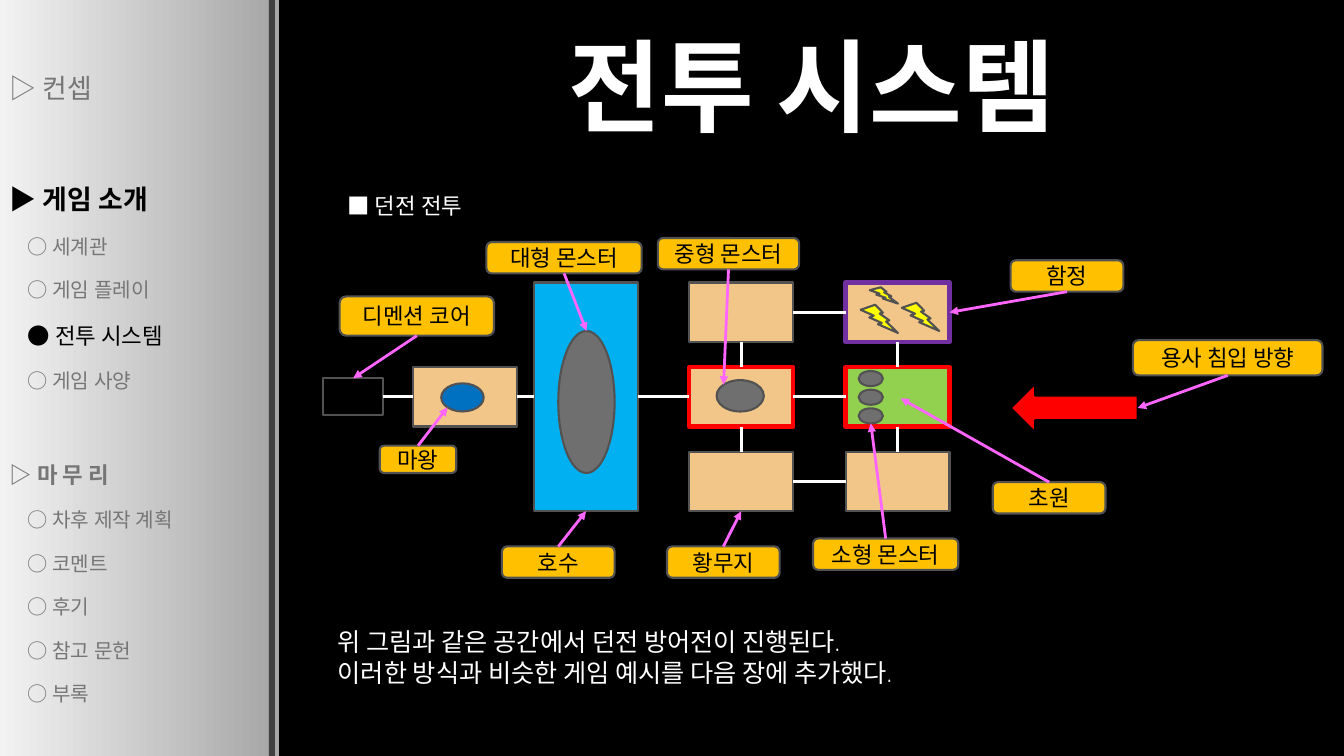
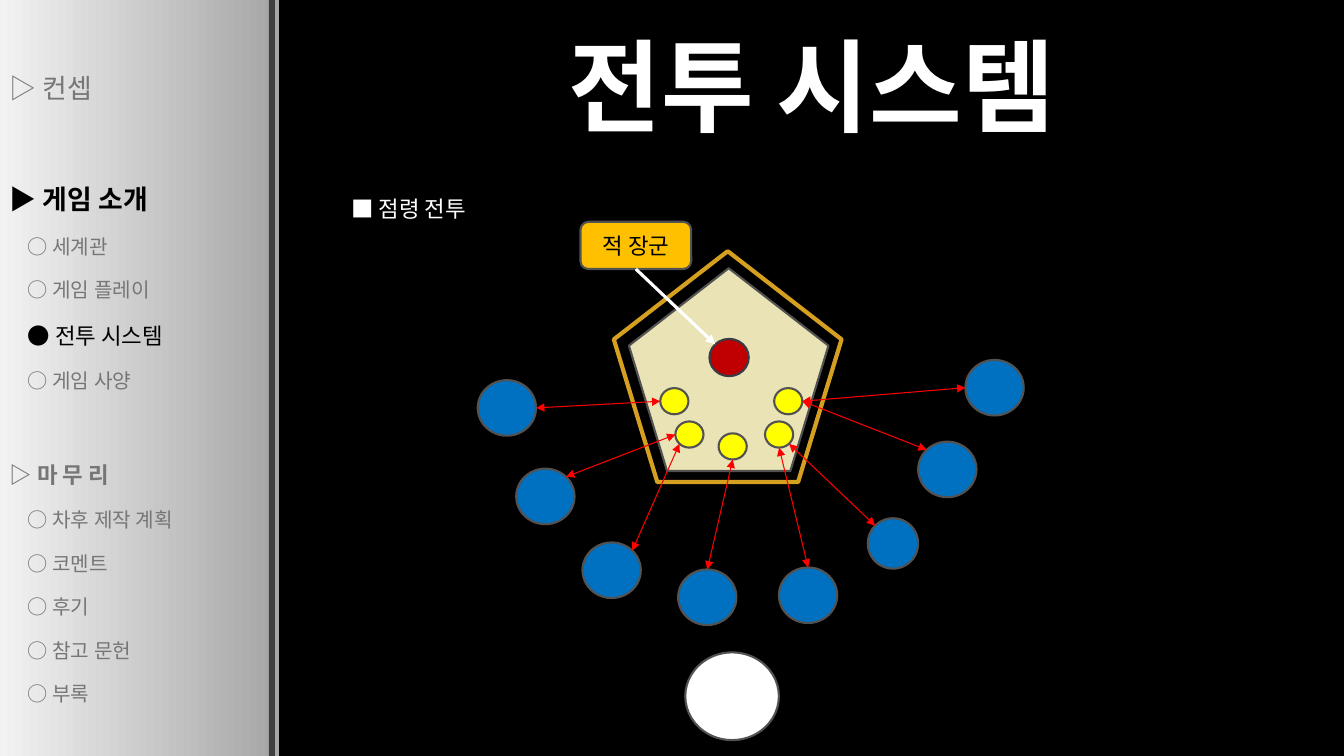
from math import cos, radians, sin

from lxml.etree import SubElement
from pptx import Presentation
from pptx.dml.color import RGBColor
from pptx.enum.shapes import MSO_CONNECTOR, MSO_SHAPE
from pptx.enum.text import MSO_ANCHOR, PP_ALIGN
from pptx.oxml.ns import qn
from pptx.util import Cm, Pt

COLORS = {
    "black": "000000", "white": "FFFFFF", "muted": "767676", "outline": "525252",
    "divider": "404040", "bar_dark": "A6A6A6", "bar_light": "F2F2F2",
    "callout": "FFC000", "wasteland": "F2C688", "lake": "00B0F0", "meadow": "92D050",
    "trap": "7030A0", "red": "FF0000", "blue": "0070C0", "monster": "6F6F6F",
    "yellow": "FFFF00", "pointer": "FF66FF", "fort": "EAE3B5", "wall": "D59F20",
    "general": "C00000", "general_line": "363D46",
}
BODY_FONT, TITLE_FONT = "Quicksand", "Roboto"
SLIDE_WIDTH, SLIDE_HEIGHT = 33.87, 19.05
BAR_WIDTH = 7.04
TOP, LEFT, BOTTOM, RIGHT = range(4)

# text, size, space before, indent, colour, bold
MENU = [
    ("▷ 컨셉", 24, 0, 0, "muted", False),
    ("▶ 게임 소개", 24, 44.5, 0, "black", True),
    ("○ 세계관", 18, 3.5, 0.45, "muted", False),
    ("○ 게임 플레이", 18, 3.5, 0.45, "muted", False),
    ("● 전투 시스템", 20, 3.5, 0.45, "black", False),
    ("○ 게임 사양", 18, 3.5, 0.45, "muted", False),
    ("▷ 마 무 리", 20, 38.5, 0, "muted", True),
    ("○ 차후 제작 계획", 18, 3.5, 0.45, "muted", False),
    ("○ 코멘트", 18, 3.5, 0.45, "muted", False),
    ("○ 후기", 18, 3.5, 0.45, "muted", False),
    ("○ 참고 문헌", 18, 3.5, 0.45, "muted", False),
    ("○ 부록", 18, 3.5, 0.45, "muted", False),
]


def rgb(name):
    """Look up a palette colour."""
    return RGBColor.from_string(COLORS[name])


def write(para, text, size=16, color="black", font=BODY_FONT, bold=False, small=False,
          align=PP_ALIGN.LEFT, before=0, after=0, indent=0, leading=None):
    """Put one formatted run of text into a paragraph."""
    para.alignment = align
    para.space_before, para.space_after = Pt(before), Pt(after)
    if leading:
        para.line_spacing = Pt(round(leading * size, 1))
    if indent:
        para._p.get_or_add_pPr().set("marL", str(Cm(indent)))
    span = para.add_run()
    span.text = text
    span.font.name, span.font.size, span.font.bold = font, Pt(size), bold
    span.font.color.rgb = rgb(color)
    if small:
        span._r.get_or_add_rPr().set("cap", "small")


def add_text(slide, box, lines, anchor=MSO_ANCHOR.TOP):
    """Add a wrapped text box holding (text, format) lines."""
    frame = slide.shapes.add_textbox(*map(Cm, box)).text_frame
    frame.word_wrap = True
    frame.vertical_anchor = anchor
    for index, (text, style) in enumerate(lines):
        para = frame.add_paragraph() if index else frame.paragraphs[0]
        write(para, text, **style)


def add_figure(slide, kind, box, fill=None, line="outline", width=1.5):
    """Add a preset shape with plain fill and outline."""
    shape = slide.shapes.add_shape(kind, *map(Cm, box))
    shape.shadow.inherit = False
    if fill:
        shape.fill.solid()
        shape.fill.fore_color.rgb = rgb(fill)
    else:
        shape.fill.background()
    if line:
        shape.line.color.rgb = rgb(line)
        shape.line.width = Pt(width)
    else:
        shape.line.fill.background()
    return shape


def add_callout(slide, box, text):
    """Add a rounded label."""
    label = add_figure(slide, MSO_SHAPE.ROUNDED_RECTANGLE, box, "callout")
    frame = label.text_frame
    frame.margin_top = frame.margin_bottom = 0
    frame.vertical_anchor = MSO_ANCHOR.MIDDLE
    write(frame.paragraphs[0], text, align=PP_ALIGN.CENTER)
    return label


def rim(shape, degrees):
    """Return the point on an ellipse at a clockwise angle from its right side."""
    angle = radians(degrees)
    return (int(shape.left + shape.width * (1 + cos(angle)) / 2),
            int(shape.top + shape.height * (1 + sin(angle)) / 2))


def add_line(slide, start, end, color="white", width=2, heads=()):
    """Draw a line between ends, each a point or a (shape, side) pair."""
    points = [(0, 0) if hasattr(item[0], "shape_id") else item for item in (start, end)]
    line = slide.shapes.add_connector(MSO_CONNECTOR.STRAIGHT, *points[0], *points[1])
    for item, join in ((start, line.begin_connect), (end, line.end_connect)):
        if hasattr(item[0], "shape_id"):
            join(*item)
    line.line.color.rgb = rgb(color)
    line.line.width = Pt(width)
    outline = line.line._get_or_add_ln()
    for head in heads:
        SubElement(outline, qn(f"a:{head}"), type="triangle")
    SubElement(line._element.spPr, qn("a:effectLst"))


def add_sidebar(slide, box):
    """Draw the navigation bar with its menu."""
    left, top, width, height = box
    bar = add_figure(slide, MSO_SHAPE.RECTANGLE, box, "bar_light", None)
    bar.fill.gradient()
    bar.fill.gradient_angle = 180
    for stop, position, color in zip(bar.fill.gradient_stops, (0, 1), ("bar_dark", "bar_light")):
        stop.position = position
        stop.color.rgb = rgb(color)
    lines = [(text, dict(size=size, before=before, after=6, indent=indent, color=color,
                         bold=bold, small=True, leading=1.2))
             for text, size, before, indent, color, bold in MENU]
    add_text(slide, (left, top + 1.5, width + 0.28, height - 2.5), lines)
    add_figure(slide, MSO_SHAPE.RECTANGLE, (left + width - 0.26, top, 0.15, height),
               "divider", None)


def add_page(deck, heading, heading_box):
    """Add a slide with the shared background, sidebar, title and heading."""
    page = deck.slides.add_slide(deck.slide_layouts[6])
    page.background.fill.solid()
    page.background.fill.fore_color.rgb = rgb("black")
    add_sidebar(page, (0, 0, BAR_WIDTH, SLIDE_HEIGHT))
    title = dict(size=72, color="white", font=TITLE_FONT, bold=True, align=PP_ALIGN.CENTER)
    add_text(page, (BAR_WIDTH, 0, SLIDE_WIDTH - BAR_WIDTH, 4.24), [("전투 시스템", title)],
             MSO_ANCHOR.MIDDLE)
    style = dict(size=20, color="white", small=True, indent=0.25, before=4, after=6)
    add_text(page, heading_box, [(heading, style)], MSO_ANCHOR.MIDDLE)
    return page


def add_dungeon(slide, left, top):
    """Draw the dungeon map with its labels from the given corner."""
    def place(kind, x, y, width, height, *look):
        return add_figure(slide, kind, (left + x, top + y, width, height), *look)

    room_width, room_height = 2.62, 1.5
    columns, rows = (9.22, 13.16), (1.12, 3.25, 5.38)
    looks = {
        (0, 1): ("wasteland", "trap", 3),
        (1, 0): ("wasteland", "red", 3),
        (1, 1): ("meadow", "red", 3),
    }
    rooms = {(row, column): place(MSO_SHAPE.RECTANGLE, x, y, room_width, room_height,
                                  *looks.get((row, column), ("wasteland",)))
             for row, y in enumerate(rows) for column, x in enumerate(columns)}
    throne = place(MSO_SHAPE.RECTANGLE, 2.26, rows[1], room_width, room_height, "wasteland")
    lake = place(MSO_SHAPE.RECTANGLE, 5.31, rows[0], room_width, 5.76, "lake")
    core = place(MSO_SHAPE.RECTANGLE, 0, 3.53, 1.5, 0.94, "black")

    chain = [core, throne, lake, rooms[1, 0]]
    across = list(zip(chain, chain[1:])) + [(rooms[row, 0], rooms[row, 1]) for row in range(3)]
    for first, second in across:
        add_line(slide, (first, RIGHT), (second, LEFT))
    for row in range(2):
        for column in range(2):
            add_line(slide, (rooms[row, column], BOTTOM), (rooms[row + 1, column], TOP))

    king = place(MSO_SHAPE.OVAL, 2.97, 3.66, 1.07, 0.71, "blue")
    large = place(MSO_SHAPE.OVAL, 5.92, 2.34, 1.42, 3.58, "monster")
    medium = place(MSO_SHAPE.OVAL, 9.91, 3.58, 1.19, 0.79, "monster")
    small = [place(MSO_SHAPE.OVAL, 13.49, 3.35 + 0.47 * index, 0.61, 0.38, "monster")
             for index in range(3)]
    for bolt in ((13.54, 1.68, 0.94, 0.71), (13.77, 1.24, 0.71, 0.41), (14.58, 1.63, 0.94, 0.71)):
        place(MSO_SHAPE.LIGHTNING_BOLT, *bolt, "yellow")
    invasion = place(MSO_SHAPE.LEFT_ARROW, 17.32, 3.66, 3.2, 1.24, "red", "black")

    meadow_spot = (Cm(left + 14.55), Cm(top + 4.04))
    labels = [
        ("용사 침입 방향", 20.4, 2.57, 4.78, 0.89, BOTTOM, (invasion, RIGHT)),
        ("디멘션 코어", 0.41, 1.47, 3.89, 0.99, BOTTOM, (core, TOP)),
        ("함정", 17.32, 0.56, 2.84, 0.79, BOTTOM, (rooms[0, 1], RIGHT)),
        ("중형 몬스터", 8.43, 0, 3.56, 0.79, BOTTOM, rim(medium, 225)),
        ("대형 몬스터", 4.11, 0.1, 3.91, 0.79, BOTTOM, rim(large, 270)),
        ("초원", 16.87, 6.15, 2.84, 0.79, TOP, meadow_spot),
        ("황무지", 8.66, 7.77, 2.84, 0.79, TOP, (rooms[2, 0], BOTTOM)),
        ("호수", 4.5, 7.77, 2.84, 0.79, TOP, (lake, BOTTOM)),
        ("마왕", 1.42, 5.23, 1.93, 0.69, TOP, rim(king, 135)),
        ("소형 몬스터", 12.34, 7.57, 3.66, 0.79, TOP, rim(small[-1], 90)),
    ]
    for text, x, y, width, height, side, target in labels:
        label = add_callout(slide, (left + x, top + y, width, height), text)
        add_line(slide, (label, side), target, "pointer", heads=["tailEnd"])


def add_siege(slide, left, top):
    """Draw the fort, its defenders and the attackers from the given corner."""
    def place(kind, x, y, width, height, *look):
        return add_figure(slide, kind, (left + x, top + y, width, height), *look)

    place(MSO_SHAPE.REGULAR_PENTAGON, 3.81, 1.17, 5.03, 5.11, "fort")
    place(MSO_SHAPE.REGULAR_PENTAGON, 3.43, 0.74, 5.74, 5.82, None, "wall", 3)
    spots = [(4.6, 4.19), (4.98, 5.03), (6.07, 5.33), (7.24, 5.03), (7.47, 4.19)]
    defenders = [place(MSO_SHAPE.OVAL, x, y, 0.71, 0.66, "yellow") for x, y in spots]
    general = place(MSO_SHAPE.OVAL, 5.84, 2.95, 0.99, 0.94, "general", "general_line")
    place(MSO_SHAPE.OVAL, 5.23, 10.85, 2.36, 2.21, "white")

    attacks = [
        ((0, 3.99, 1.47, 1.4), 0, 0, 180),
        ((0.97, 6.22, 1.47, 1.4), 315, 1, 180),
        ((2.64, 8.08, 1.47, 1.4), 315, 1, 135),
        ((5.05, 8.76, 1.47, 1.4), 270, 2, 90),
        ((7.59, 8.71, 1.47, 1.4), 270, 3, 90),
        ((9.83, 7.47, 1.27, 1.27), 225, 3, 45),
        ((11.1, 5.54, 1.47, 1.4), 225, 4, 0),
        ((12.29, 3.48, 1.47, 1.4), 180, 4, 0),
    ]
    for box, angle, index, defender_angle in attacks:
        attacker = place(MSO_SHAPE.OVAL, *box, "blue")
        add_line(slide, rim(attacker, angle), rim(defenders[index], defender_angle),
                 "red", 0.75, ["headEnd", "tailEnd"])
    label = add_callout(slide, (left + 2.59, top, 2.79, 1.19), "적 장군")
    add_line(slide, (label, BOTTOM), rim(general, 225), width=2.25, heads=["tailEnd"])


def main():
    """Build and save the deck."""
    deck = Presentation()
    deck.slide_width, deck.slide_height = Cm(SLIDE_WIDTH), Cm(SLIDE_HEIGHT)

    dungeon = add_page(deck, "■ 던전 전투", (8.26, 4.27, 24.49, 1.73))
    add_dungeon(dungeon, 8.15, 6)
    style = dict(size=18, color="white", leading=1.2)
    add_text(dungeon, (8.26, 15.67, 24.84, 1.8),
             [("위 그림과 같은 공간에서 던전 방어전이 진행된다.", style),
              ("이러한 방식과 비슷한 게임 예시를 다음 장에 추가했다.", style)])

    siege = add_page(deck, "■ 점령 전투", (8.36, 4.29, 24.49, 1.83))
    add_siege(siege, 12.04, 5.59)
    deck.save("out.pptx")


if __name__ == "__main__":
    main()
